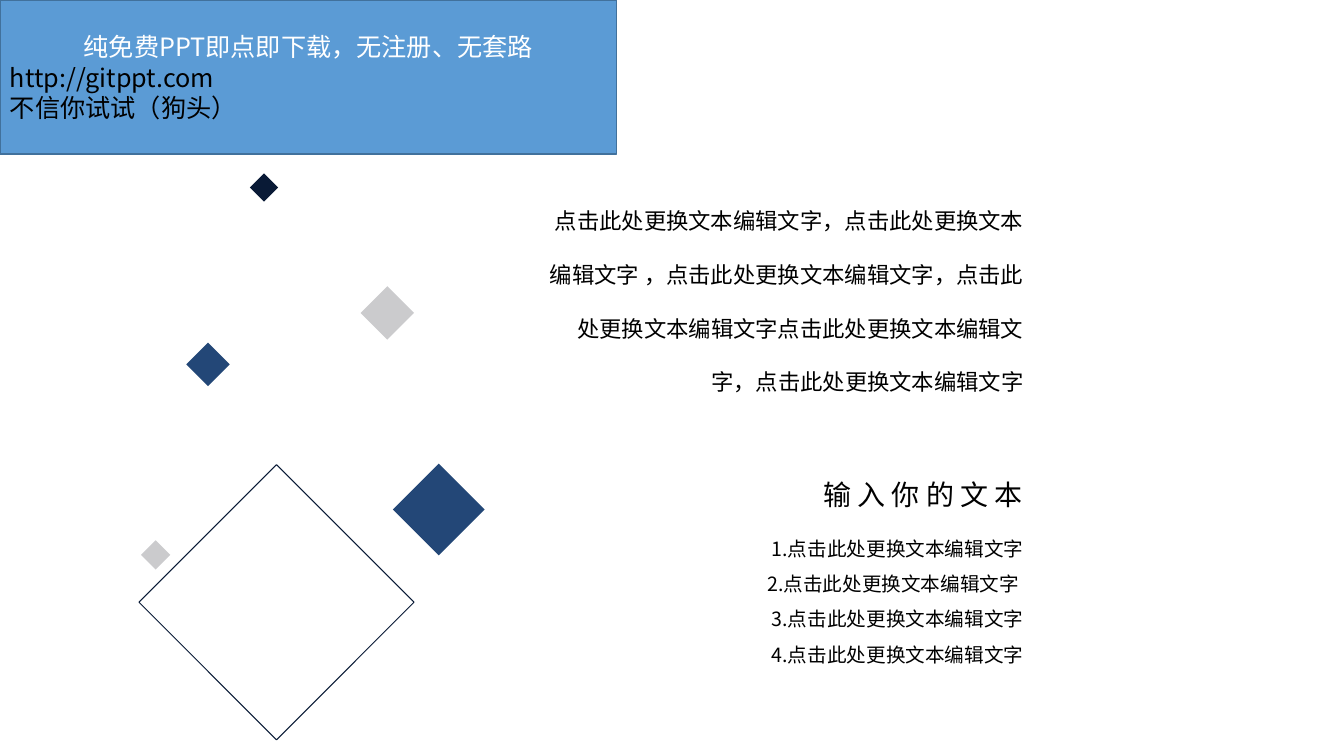
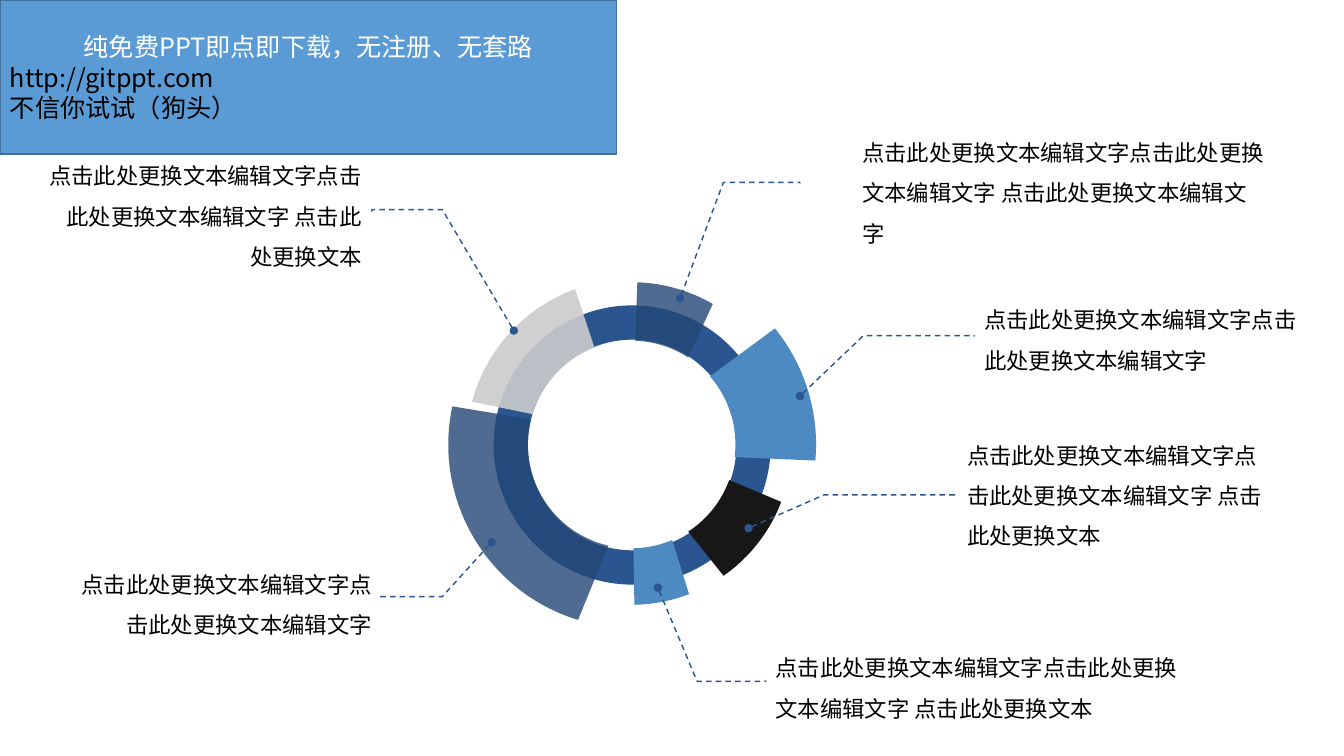
import math
from lxml import etree
from pptx import Presentation
from pptx.dml.color import RGBColor
from pptx.enum.dml import MSO_LINE
from pptx.enum.shapes import MSO_SHAPE
from pptx.enum.text import MSO_ANCHOR, MSO_AUTO_SIZE, PP_ALIGN
from pptx.oxml.ns import qn
from pptx.util import Pt

PX = 9144
FONT = "Noto Sans CJK SC"
BLACK, WHITE, NAVY, DARK_BLUE, GREY = "000000", "FFFFFF", "091A36", "234777", "CBCBCD"
RING_BLUE, LIGHT_BLUE, CHARCOAL = "2A558E", "4D8AC1", "181717"
BAND_FILL, BAND_LINE = "5B9BD5", "41719C"
LEFT, CENTER, RIGHT = PP_ALIGN.LEFT, PP_ALIGN.CENTER, PP_ALIGN.RIGHT
DIAMOND, DONUT, RECTANGLE = MSO_SHAPE.DIAMOND, MSO_SHAPE.DONUT, MSO_SHAPE.RECTANGLE
DASH = MSO_LINE.DASH
MIDDLE = MSO_ANCHOR.MIDDLE
FIT_SHAPE, FIXED = MSO_AUTO_SIZE.SHAPE_TO_FIT_TEXT, MSO_AUTO_SIZE.NONE


def paint(shape, fill=None, line=None, width=1, opacity=100):
    shape.shadow.inherit = False
    if fill:
        shape.fill.solid()
        shape.fill.fore_color.rgb = RGBColor.from_string(fill)
        if opacity < 100:
            color = shape.fill._xPr.find(qn("a:solidFill"))[0]
            etree.SubElement(color, qn("a:alpha"), val=str(opacity * 1000))
    else:
        shape.fill.background()
    if line:
        shape.line.color.rgb = RGBColor.from_string(line)
        shape.line.width = Pt(width)
    else:
        shape.line.fill.background()


def write(box, rows, size, spacing, fit=FIT_SHAPE):
    frame = box.text_frame
    frame.word_wrap = True
    frame.auto_size = fit
    for index, (text, align, color) in enumerate(rows):
        para = frame.paragraphs[0] if index == 0 else frame.add_paragraph()
        for name, value in {"alignment": align, "line_spacing": spacing}.items():
            setattr(para, name, value)
        para._p.get_or_add_pPr().set("hangingPunct", "0")
        span = para.add_run()
        span.text = text
        for name, value in {"size": Pt(size), "name": FONT}.items():
            setattr(span.font, name, value)
        span.font.color.rgb = RGBColor.from_string(color)
        etree.SubElement(span.font._element, qn("a:ea"), typeface=FONT)


deck = Presentation()
deck.slide_width, deck.slide_height = 1334 * PX, 750 * PX
blank = deck.slide_layouts[6]
PHRASE = "点击此处更换文本编辑文字"

page = deck.slides.add_slide(blank)
intro = f"{PHRASE}，{PHRASE} ，{PHRASE}，{PHRASE}{PHRASE}，{PHRASE}"
steps = [f"1.{PHRASE}", f"2.{PHRASE} ", f"3.{PHRASE}", f"4.{PHRASE}"]
for area, lines, size, spacing in [
    ((524, 174, 502, 224), [intro], 16, 2.0),
    ((744, 469, 281, 44), ["输 入 你 的 文 本"], 20, 1.0),
    ((710, 516, 316, 150), steps, 14, 1.5),
]:
    box = page.shapes.add_textbox(*[value * PX for value in area])
    write(box, [(line, RIGHT, BLACK) for line in lines], size, spacing)

for left, top, side, fill, line in [
    (358, 284, 53, GREY, None),
    (140, 536, 29, GREY, None),
    (390, 460, 91, DARK_BLUE, None),
    (185, 340, 43, DARK_BLUE, None),
    (248, 172, 28, NAVY, None),
    (138, 461, 273, None, NAVY),
]:
    diamond = page.shapes.add_shape(DIAMOND, left * PX, top * PX, side * PX, side * PX)
    paint(diamond, fill, line, 0.75)

page = deck.slides.add_slide(blank)
ring = page.shapes.add_shape(DONUT, 490 * PX, 303 * PX, 275 * PX, 277 * PX)
ring.adjustments[0] = 34 / 275
paint(ring, RING_BLUE)

CENTER_X, CENTER_Y, INNER_RADIUS = 627, 441, 103
for outer_radius, outer_angles, inner_angles, fill, opacity in [
    (159, (21, 55), (20, 57), CHARCOAL, 100),
    (159, (69, 89), (67, 89), LIGHT_BLUE, 100),
    (161, (272, 300), (272, 303), DARK_BLUE, 80),
    (182, (107, 192), (103, 194), DARK_BLUE, 80),
    (183, (321, 365), (319, 367), LIGHT_BLUE, 100),
    (164, (195, 250), (197, 249), GREY, 90),
]:
    outline = []
    for radius, angles in [(outer_radius, outer_angles), (INNER_RADIUS, inner_angles[::-1])]:
        start, end = [math.radians(angle) for angle in angles]
        pull = 4 / 3 * math.tan((end - start) / 4)
        for angle, shift in [(start, 0), (start, pull), (end, -pull), (end, 0)]:
            across = math.cos(angle) - shift * math.sin(angle)
            down = math.sin(angle) + shift * math.cos(angle)
            outline.append(((CENTER_X + radius * across) * PX, (CENTER_Y + radius * down) * PX))
    builder = page.shapes.build_freeform(*outline[0], scale=1.0)
    builder.add_line_segments(outline[1:], close=True)
    sector = builder.convert_to_shape()
    moves = list(next(sector._element.iter(qn("a:path"))))
    for first in (1, 5):
        curve = etree.Element(qn("a:cubicBezTo"))
        moves[first].addprevious(curve)
        for move in moves[first:first + 3]:
            curve.append(move[0])
            move.getparent().remove(move)
    paint(sector, fill, opacity=opacity)

for points in [
    [(510, 328), (439, 208), (369, 208), (369, 210)],
    [(488, 538), (439, 592), (376, 592), (376, 594)],
    [(675, 296), (718, 181), (794, 181), (794, 182)],
    [(794, 393), (857, 333), (967, 333), (967, 334)],
    [(743, 524), (818, 491), (950, 491)],
    [(653, 583), (692, 676), (760, 676), (760, 675)],
]:
    builder = page.shapes.build_freeform(*points[0], scale=PX)
    builder.add_line_segments(points[1:], close=False)
    leader = builder.convert_to_shape()
    paint(leader, line=RING_BLUE)
    leader.line.dash_style = DASH
    etree.SubElement(leader.line._get_or_add_ln(), qn("a:headEnd"), type="oval")

two_phrases = PHRASE * 2
short_label = f"{two_phrases} 点击此处更换文本"
for area, label, align in [
    ((846, 120, 422, 130), f"{two_phrases} {PHRASE}", LEFT),
    ((967, 286, 349, 90), two_phrases, LEFT),
    ((950, 420, 328, 130), short_label, LEFT),
    ((760, 631, 422, 90), short_label, LEFT),
    ((35, 143, 334, 130), short_label, RIGHT),
    ((64, 548, 315, 90), two_phrases, RIGHT),
]:
    box = page.shapes.add_textbox(*[value * PX for value in area])
    write(box, [(label, align, BLACK)], 16, 1.5)

band_rows = [
    ("纯免费PPT即点即下载，无注册、无套路", CENTER, WHITE),
    ("http://gitppt.com", LEFT, BLACK),
    ("不信你试试（狗头）", LEFT, BLACK),
]
for page in deck.slides:
    band = page.shapes.add_shape(RECTANGLE, 0, 0, 612 * PX, 153 * PX)
    paint(band, BAND_FILL, BAND_LINE)
    band.text_frame.vertical_anchor = MIDDLE
    write(band, band_rows, 18, 1.0, FIXED)

deck.save("out.pptx")
